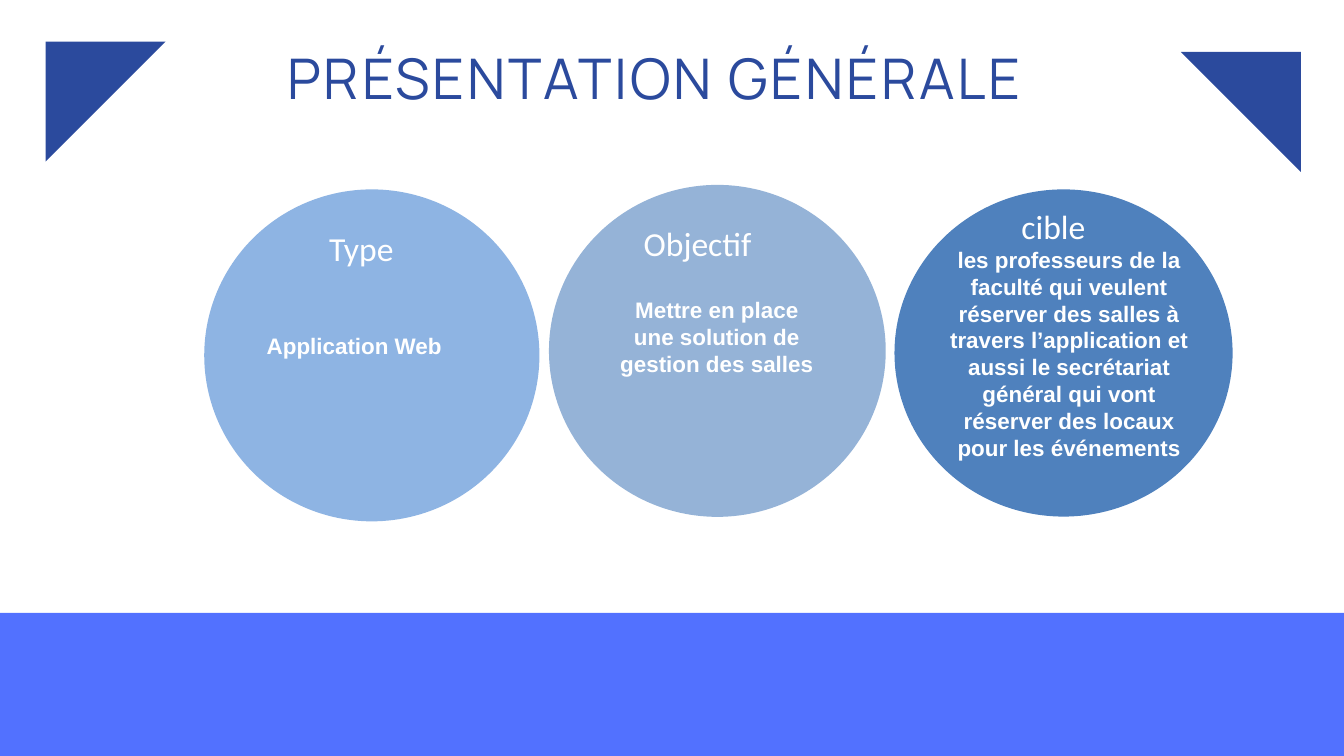
from pptx import Presentation
from pptx.dml.color import RGBColor
from pptx.enum.shapes import MSO_SHAPE
from pptx.enum.text import PP_ALIGN
from pptx.util import Cm, Pt

WIDTH, HEIGHT = 50.8, 28.58
NAVY, WHITE = "2B4A9D", "FFFFFF"

CIRCLES = [
    dict(box=(7.72, 7.16, 12.67, 12.55), color="8EB4E3",
         heading="Type", heading_at=(4.47, 1.32),
         body="Application Web", body_box=(2.11, 5.26, 7.19, 4.5),
         align=PP_ALIGN.LEFT),
    dict(box=(20.75, 6.99, 12.73, 12.55), color="95B3D7",
         heading="Objectif", heading_at=(3.33, 1.32),
         body="Mettre en place une solution de gestion des salles",
         body_box=(2.21, 4.09, 8.26, 4.98)),
    dict(box=(33.81, 7.16, 12.78, 12.37), color="4F81BD",
         heading="cible", heading_at=(4.55, 0.51),
         body="les professeurs de la faculté qui veulent réserver des salles "
              "à travers l’application et aussi le secrétariat général qui "
              "vont réserver des locaux pour les événements",
         body_box=(1.83, 2.01, 9.53, 4.11)),
]


def rgb(color):
    """Turn a hex string into a colour."""
    return RGBColor.from_string(color)


def add_filled(slide, kind, box, color, rotation=0):
    """Add a preset shape with a plain fill and no outline."""
    shape = slide.shapes.add_shape(kind, *map(Cm, box))
    shape.shadow.inherit = False
    shape.fill.solid()
    shape.fill.fore_color.rgb = rgb(color)
    shape.line.fill.background()
    shape.rotation = rotation


def add_text(slide, text, box, size, font, color=WHITE, bold=False,
             align=PP_ALIGN.LEFT, spacing=None, tracking=0, inset=None):
    """Add a wrapping text box with one formatted paragraph."""
    frame = slide.shapes.add_textbox(*map(Cm, box)).text_frame
    frame.word_wrap = True
    if inset is not None:
        frame.margin_left = frame.margin_right = Cm(inset)
        frame.margin_top = frame.margin_bottom = Cm(inset)
    paragraph = frame.paragraphs[0]
    paragraph.alignment = align
    if spacing:
        paragraph.line_spacing = Pt(spacing)
    run = paragraph.add_run()
    run.text = text
    run.font.size = Pt(size)
    run.font.name = font
    run.font.bold = bold
    run.font.color.rgb = rgb(color)
    if tracking:
        run.font._element.set("spc", str(tracking * 100))


def add_header(slide, left, top, width):
    """Place the title between its two corner triangles."""
    side = 4.54
    add_filled(slide, MSO_SHAPE.RIGHT_TRIANGLE,
               (left, top, side, side), NAVY, 90)
    add_filled(slide, MSO_SHAPE.RIGHT_TRIANGLE,
               (left + width - side, top + 0.39, side, side), NAVY, 180)
    add_text(slide, "PRÉSENTATION GÉNÉRALE",
             (left + 7.78, top + 0.39, 30.48, 2.34), 60, "Manrope", NAVY,
             align=PP_ALIGN.CENTER, spacing=63, tracking=3, inset=0)


def add_circle(slide, box, color, heading, heading_at, body, body_box,
               align=PP_ALIGN.CENTER):
    """Place a circle with its heading and body text."""
    left, top = box[:2]
    add_filled(slide, MSO_SHAPE.OVAL, box, color)
    add_text(slide, heading,
             (left + heading_at[0], top + heading_at[1], 7.87, 1.8),
             36, "Calibri")
    x, y, width, height = body_box
    add_text(slide, body, (left + x, top + y, width, height),
             24, "Arial", bold=True, align=align)


def add_footer(slide, height):
    """Place the band along the bottom edge."""
    add_filled(slide, MSO_SHAPE.RECTANGLE,
               (0, HEIGHT - height, WIDTH, height), "5271FF")


def main():
    """Build and save the presentation."""
    presentation = Presentation()
    presentation.slide_width = Cm(WIDTH)
    presentation.slide_height = Cm(HEIGHT)
    slide = presentation.slides.add_slide(presentation.slide_layouts[6])
    add_footer(slide, 5.41)
    add_header(slide, 1.72, 1.57, 47.45)
    for circle in CIRCLES:
        add_circle(slide, **circle)
    presentation.save("out.pptx")


if __name__ == "__main__":
    main()
